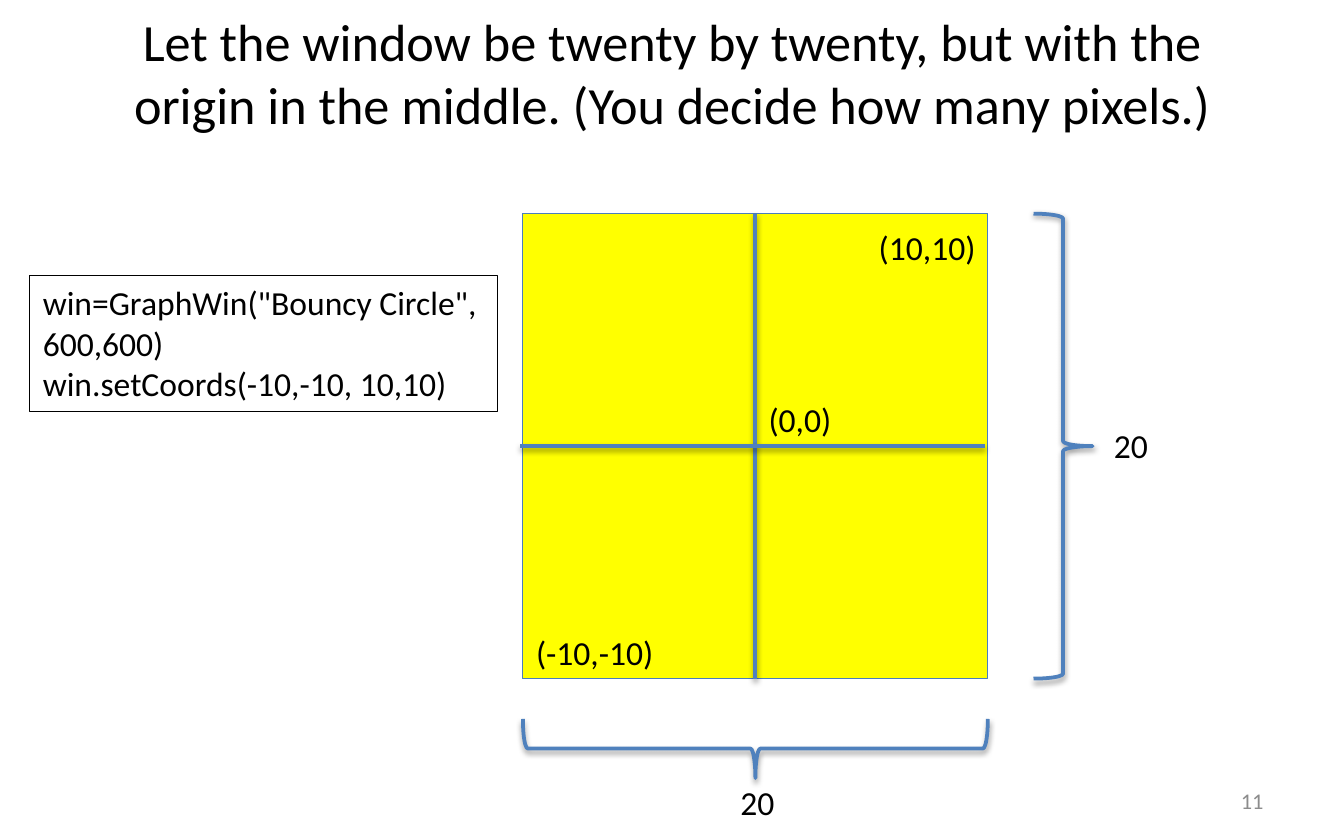
import dataclasses
import lxml.etree
import pptx
import pptx.dml.color
import pptx.enum.shapes
import pptx.enum.text
import pptx.oxml.ns
import pptx.util

Inches = pptx.util.Inches
Pt = pptx.util.Pt
Align = pptx.enum.text.PP_ALIGN
Anchor = pptx.enum.text.MSO_ANCHOR
Fit = pptx.enum.text.MSO_AUTO_SIZE
Shape = pptx.enum.shapes.MSO_SHAPE
qn = pptx.oxml.ns.qn

BLUE = "4F81BD"
BLACK = "000000"
LEFT, TOP, SIDE = 3.89, 1.59, 3.46
MID_X, MID_Y = LEFT + SIDE / 2, TOP + SIDE / 2
DEPTH = 0.44


@dataclasses.dataclass
class Label:
    lines: list[str]
    left: float
    top: float
    width: float
    height: float = 0.4
    wrap: bool = True
    edge: str = ""


@dataclasses.dataclass
class Brace:
    left: float
    top: float
    turn: float


@dataclasses.dataclass
class Axis:
    start: tuple[float, float]
    end: tuple[float, float]


def color(code: str) -> pptx.dml.color.RGBColor:
    return pptx.dml.color.RGBColor.from_string(code)


def stroke(item, code: str, width: float) -> None:
    item.line.color.rgb = color(code)
    item.line.width = Pt(width)


def shade(item) -> None:
    props = item._element.spPr
    group = props.find(qn("a:effectLst"))
    if group is None:
        group = lxml.etree.SubElement(props, qn("a:effectLst"))
    outer = lxml.etree.SubElement(
        group, qn("a:outerShdw"), blurRad=str(Pt(3.1)), dist=str(Pt(1.6)),
        dir="5400000", rotWithShape="0")
    tint = lxml.etree.SubElement(outer, qn("a:srgbClr"), val=BLACK)
    lxml.etree.SubElement(tint, qn("a:alpha"), val="38000")


def write(frame, lines: list[str], size: float, code: str = BLACK,
          align=Align.LEFT) -> None:
    for index, line in enumerate(lines):
        para = frame.paragraphs[0] if index == 0 else frame.add_paragraph()
        para.alignment = align
        run = para.add_run()
        run.text = line
        run.font.name = "Calibri"
        run.font.size = Pt(size)
        run.font.color.rgb = color(code)


def add_label(slide, label: Label) -> None:
    box = slide.shapes.add_textbox(
        Inches(label.left), Inches(label.top),
        Inches(label.width), Inches(label.height))
    box.text_frame.word_wrap = label.wrap
    box.text_frame.auto_size = Fit.SHAPE_TO_FIT_TEXT
    write(box.text_frame, label.lines, 18)
    if label.edge:
        stroke(box, label.edge, 0.75)


def add_brace(slide, brace: Brace) -> None:
    item = slide.shapes.add_shape(
        Shape.RIGHT_BRACE, Inches(brace.left), Inches(brace.top),
        Inches(DEPTH), Inches(SIDE))
    item.rotation = brace.turn
    item.fill.background()
    stroke(item, BLUE, 2)
    item.shadow.inherit = False
    shade(item)


def add_axis(slide, axis: Axis) -> None:
    item = slide.shapes.add_connector(
        pptx.enum.shapes.MSO_CONNECTOR.STRAIGHT,
        *map(Inches, axis.start + axis.end))
    stroke(item, BLUE, 2)
    shade(item)


def add_title(slide, text: str) -> None:
    title = slide.shapes.title
    title.left, title.top = Inches(0.5), Inches(0.25)
    title.width, title.height = Inches(9), Inches(1.04)
    frame = title.text_frame
    frame.word_wrap = True
    frame.auto_size = Fit.NONE
    frame.vertical_anchor = Anchor.MIDDLE
    frame.margin_bottom = Inches(0.52)
    write(frame, [text], 28, align=Align.CENTER)


def add_number(slide, text: str) -> None:
    box = slide.shapes.add_textbox(
        Inches(7.17), Inches(5.79), Inches(2.33), Inches(0.33))
    box.text_frame.word_wrap = True
    box.text_frame.vertical_anchor = Anchor.MIDDLE
    write(box.text_frame, [text], 12, "8C8C8C", Align.RIGHT)


def add_window(slide) -> None:
    window = slide.shapes.add_shape(
        Shape.RECTANGLE, Inches(LEFT), Inches(TOP), Inches(SIDE), Inches(SIDE))
    window.shadow.inherit = False
    window.fill.solid()
    window.fill.fore_color.rgb = color("FFFF00")
    stroke(window, "4B7EBC", 0.75)


BRACES = [
    Brace(7.69, TOP, 0),
    Brace(MID_X - DEPTH / 2, 3.84, 90),
]
AXES = [
    Axis((MID_X, TOP + SIDE), (MID_X, TOP)),
    Axis((LEFT - 0.02, MID_Y), (LEFT + SIDE - 0.02, MID_Y)),
]
LABELS = [
    Label(["20"], 5.41, 5.77, 0.67),
    Label(["20"], 8.19, 3.11, 0.67),
    Label(["(0,0)"], MID_X, 2.92, 0.67, wrap=False),
    Label(["(10,10)"], 6.44, 1.64, 0.93, wrap=False),
    Label(["(-10,-10)"], LEFT, 4.65, 1.08, wrap=False),
    Label(['win=GraphWin("Bouncy Circle", 600,600)',
           "win.setCoords(-10,-10, 10,10)"],
          0.22, 2.05, 3.48, 1.01, edge=BLACK),
]


def main() -> None:
    deck = pptx.Presentation()
    deck.slide_width, deck.slide_height = Inches(10), Inches(6.25)
    slide = deck.slides.add_slide(deck.slide_layouts[5])
    add_title(slide, "Let the window be twenty by twenty, but with the "
                     "origin in the middle. (You decide how many pixels.)")
    add_number(slide, "11")
    add_window(slide)
    for brace in BRACES:
        add_brace(slide, brace)
    for axis in AXES:
        add_axis(slide, axis)
    for label in LABELS:
        add_label(slide, label)
    deck.save("out.pptx")


main()
